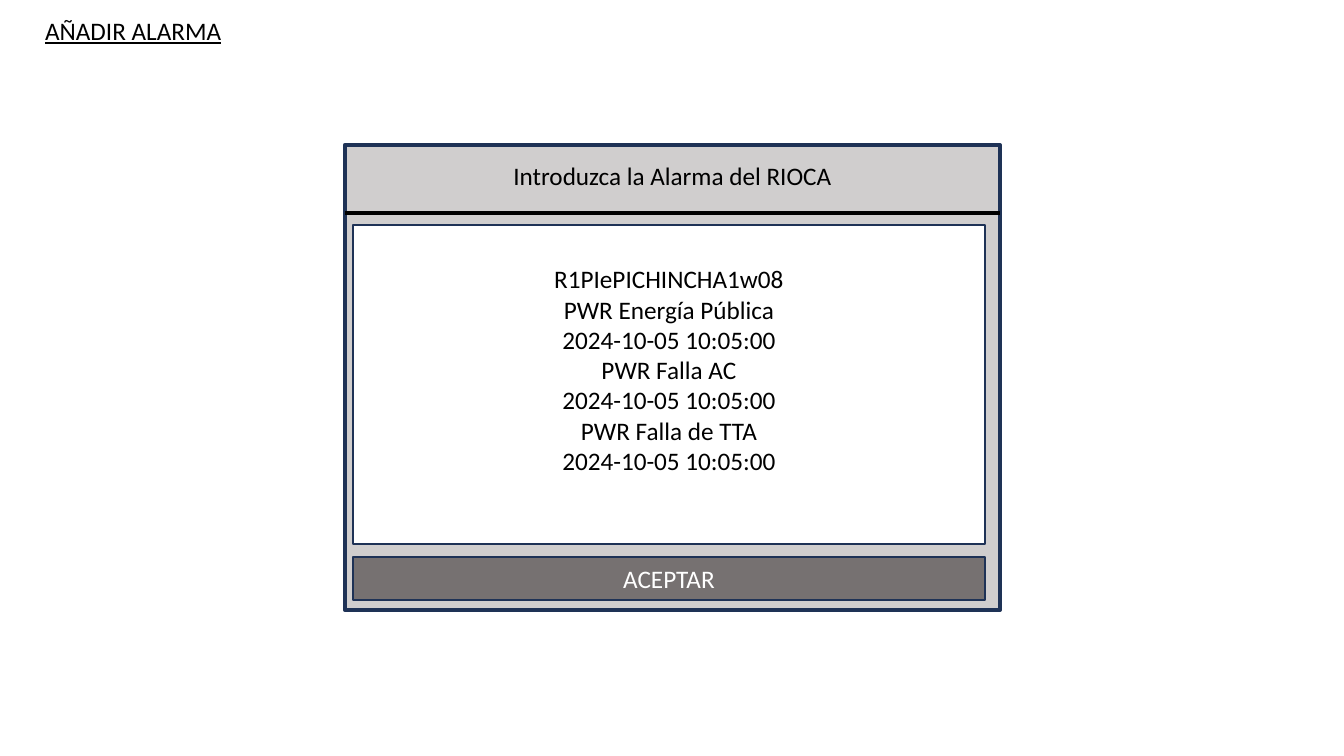
"""Build the slide with the dialog for adding an alarm."""
from lxml.etree import SubElement
from pptx import Presentation
from pptx.dml.color import RGBColor
from pptx.enum.shapes import MSO_CONNECTOR, MSO_SHAPE
from pptx.enum.text import MSO_ANCHOR, MSO_AUTO_SIZE, PP_ALIGN
from pptx.oxml.ns import qn
from pptx.util import Emu, Pt

TITLE = "AÑADIR ALARMA"
PROMPT = "Introduzca la Alarma del RIOCA"
TIME = "2024-10-05 10:05:00"
ALARMS = ["PWR Energía Pública", "PWR Falla AC", "PWR Falla de TTA"]
ENTRY = ["R1PIePICHINCHA1w08"] + [line for alarm in ALARMS for line in (alarm, TIME)]
BUTTON = "ACEPTAR"

BLACK = RGBColor(0x00, 0x00, 0x00)
WHITE = RGBColor(0xFF, 0xFF, 0xFF)
NAVY = RGBColor(0x1E, 0x32, 0x56)
SILVER = RGBColor(0xD0, 0xCE, 0xCE)
GRAY = RGBColor(0x76, 0x71, 0x71)

SLIDE = (1344, 756)
TITLE_AREA = (35, 10, 880, 40)
DIALOG = (345, 145, 655, 465)
PROMPT_AREA = (345, 155, 655, 40)
RULE_TOP = 213
FIELD_LEFT, FIELD_WIDTH = 353, 632
ENTRY_AREA = (FIELD_LEFT, 225, FIELD_WIDTH, 319)
BUTTON_AREA = (FIELD_LEFT, 557, FIELD_WIDTH, 43)
INSET, ENTRY_BOTTOM_INSET = 5, 35


def px(length):
    return Emu(round(length * 914400 / 100.8))


def write(shape, lines, color, align=PP_ALIGN.CENTER, anchor=MSO_ANCHOR.MIDDLE):
    frame = shape.text_frame
    frame.word_wrap = True
    frame.auto_size = MSO_AUTO_SIZE.NONE
    frame.vertical_anchor = anchor
    frame.margin_top = frame.margin_bottom = px(INSET)
    frame.text = "\n".join(lines)
    for para in frame.paragraphs:
        para.alignment = align
        para.line_spacing = 1.0
        para.font.name = "Calibri"
        para.font.size = Pt(18)
        para.font.color.rgb = color
    return frame


def add_panel(page, area, fill, line_width):
    panel = page.shapes.add_shape(MSO_SHAPE.RECTANGLE, *map(px, area))
    panel.shadow.inherit = False
    panel.fill.solid()
    panel.fill.fore_color.rgb = fill
    panel.line.color.rgb = NAVY
    panel.line.width = Pt(line_width)
    return panel


def add_title(page):
    title = page.shapes.title
    title.left, title.top, title.width, title.height = map(px, TITLE_AREA)
    frame = write(title, [TITLE], BLACK, PP_ALIGN.LEFT, MSO_ANCHOR.TOP)
    frame.paragraphs[0].font.underline = True


def add_rule(page):
    left, _, width, _ = DIALOG
    ends = (left, RULE_TOP, left + width, RULE_TOP)
    rule = page.shapes.add_connector(MSO_CONNECTOR.STRAIGHT, *map(px, ends))
    rule.line.color.rgb = BLACK
    rule.line.width = Pt(3)
    SubElement(rule._element.spPr, qn("a:effectLst"))


def main():
    deck = Presentation()
    deck.slide_width, deck.slide_height = map(px, SLIDE)
    page = deck.slides.add_slide(deck.slide_layouts[5])
    add_title(page)
    add_panel(page, DIALOG, SILVER, 3)
    add_rule(page)
    prompt = page.shapes.add_textbox(*map(px, PROMPT_AREA))
    write(prompt, [PROMPT], BLACK, anchor=MSO_ANCHOR.TOP)
    entry = write(add_panel(page, ENTRY_AREA, WHITE, 1), ENTRY, BLACK)
    entry.margin_bottom = px(ENTRY_BOTTOM_INSET)
    write(add_panel(page, BUTTON_AREA, GRAY, 1), [BUTTON], WHITE)
    deck.save("out.pptx")


if __name__ == "__main__":
    main()
